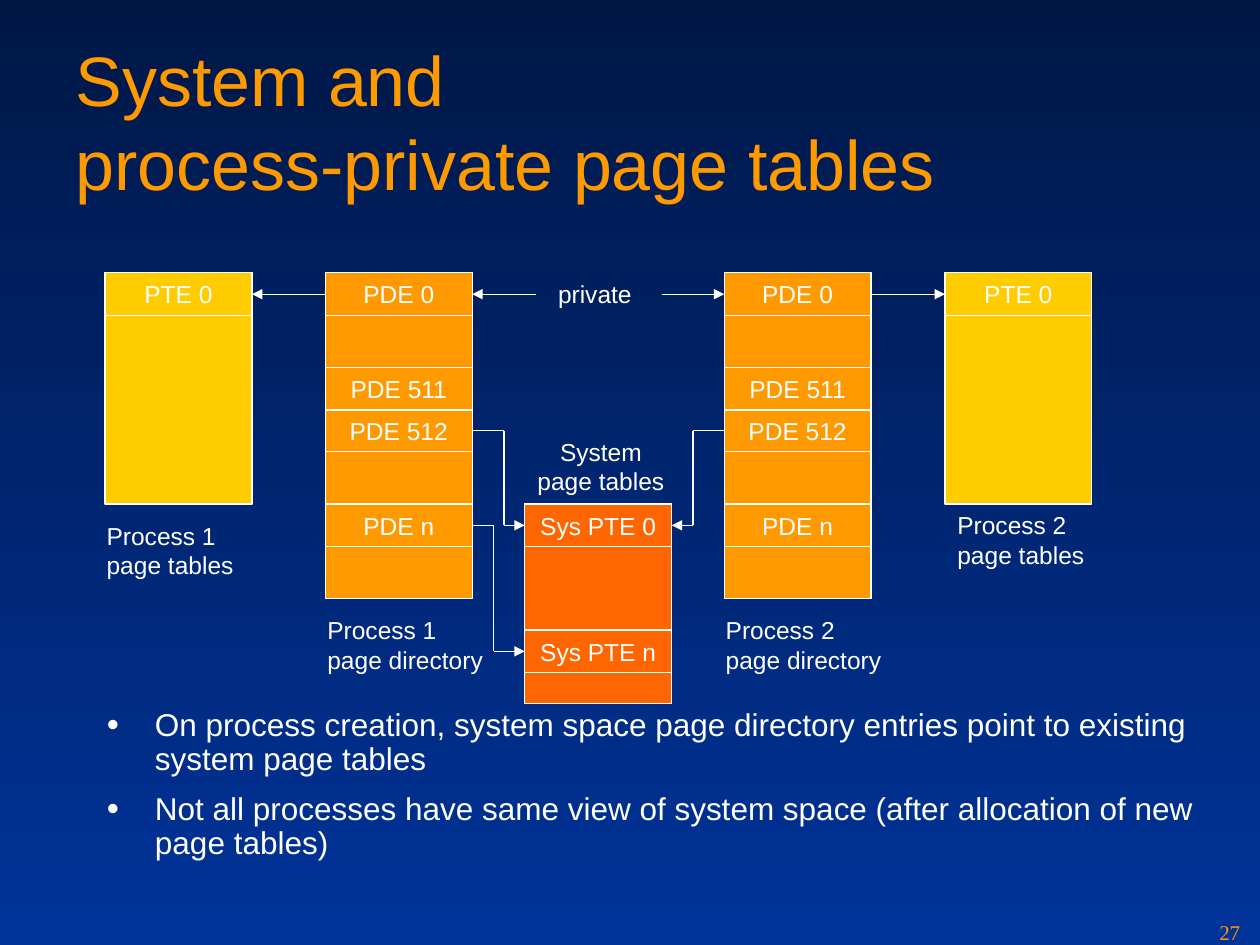
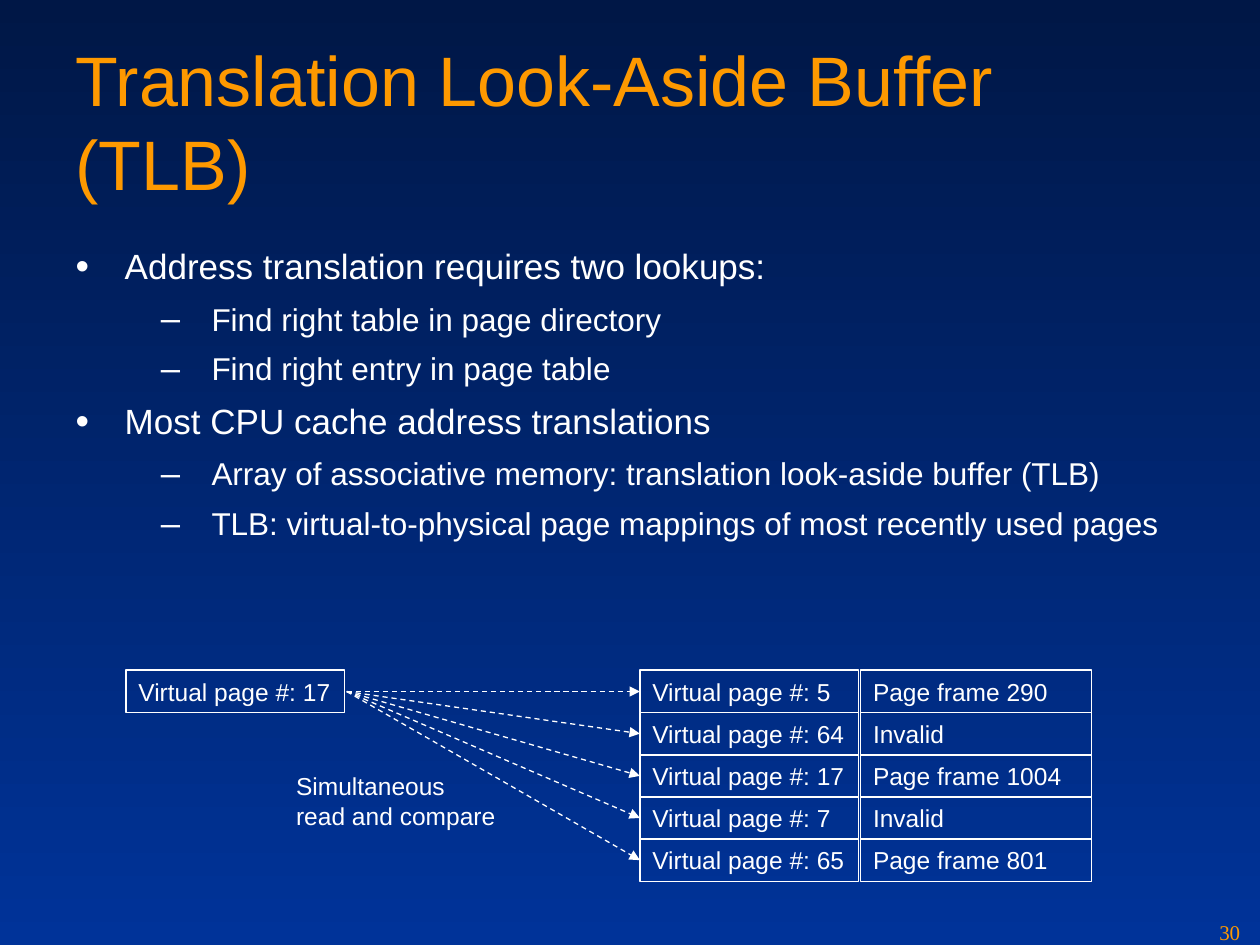
from copy import deepcopy
from dataclasses import dataclass

from lxml.etree import SubElement
from pptx import Presentation
from pptx.dml.color import RGBColor
from pptx.enum.dml import MSO_LINE
from pptx.enum.shapes import MSO_CONNECTOR, MSO_SHAPE
from pptx.enum.text import MSO_ANCHOR, MSO_AUTO_SIZE, PP_ALIGN
from pptx.oxml.ns import qn
from pptx.util import Cm, Pt

# Shared look
WHITE, TITLE_ORANGE = "FFFFFF", "FE9900"
YELLOW, ORANGE, DEEP_ORANGE = "FFCC00", "FF9900", "FF6600"
NIGHT, BLUE = "001746", "003399"
TABLE_WIDTH, ENTRY_HEIGHT = 2.96, 0.86
LINE_WIDTH = Pt(0.75)


@dataclass
class Level:
    """Look of one bullet level."""
    char: str
    size: float
    margin: float
    hanging: float
    gap: float


@dataclass
class Label:
    text: str
    left: float
    top: float
    width: float
    height: float = 1.45
    align: PP_ALIGN = PP_ALIGN.LEFT


@dataclass
class PageTable:
    """A memory table whose named entries sit at offsets from its top."""
    left: float
    top: float
    height: float
    color: str
    entries: dict[str, float]

    @property
    def right(self) -> float:
        return self.left + TABLE_WIDTH

    def middle(self, entry: str) -> float:
        return self.top + self.entries[entry] + ENTRY_HEIGHT / 2


def rgb(color: str) -> RGBColor:
    return RGBColor.from_string(color)


def write(paragraph, text: str, *, size: float = 14, color: str = WHITE,
          font: str = "Arial", align=PP_ALIGN.LEFT) -> None:
    paragraph.text = text
    paragraph.alignment = align
    for run in paragraph.runs:
        run.font.size = Pt(size)
        run.font.name = font
        run.font.color.rgb = rgb(color)
    # Line breaks take the height of the text around them
    for line_break in paragraph._p.findall(qn("a:br")):
        line_break.insert(0, deepcopy(paragraph.runs[0]._r.find(qn("a:rPr"))))


def place(shape, left: float, top: float, width: float, height: float) -> None:
    shape.left, shape.top = Cm(left), Cm(top)
    shape.width, shape.height = Cm(width), Cm(height)
    frame = shape.text_frame
    frame.auto_size = MSO_AUTO_SIZE.NONE
    frame.word_wrap = True
    frame.vertical_anchor = MSO_ANCHOR.TOP


def add_label(slide, label: Label, *, wrap: bool = False, **look) -> None:
    box = slide.shapes.add_textbox(0, 0, 0, 0)
    place(box, label.left, label.top, label.width, label.height)
    box.text_frame.word_wrap = wrap
    write(box.text_frame.paragraphs[0], label.text, align=label.align, **look)


def add_box(slide, left: float, top: float, width: float, height: float, *,
            color: str | None = None, text: str = "", align=PP_ALIGN.LEFT) -> None:
    box = slide.shapes.add_shape(MSO_SHAPE.RECTANGLE, 0, 0, 0, 0)
    place(box, left, top, width, height)
    box.shadow.inherit = False
    if color:
        box.fill.solid()
        box.fill.fore_color.rgb = rgb(color)
    else:
        box.fill.background()
    box.line.color.rgb = rgb(WHITE)
    box.line.width = LINE_WIDTH
    if text:
        frame = box.text_frame
        frame.vertical_anchor = MSO_ANCHOR.MIDDLE
        if align == PP_ALIGN.LEFT:
            frame.margin_right = 0
        write(frame.paragraphs[0], text, align=align)


def add_page_table(slide, table: PageTable) -> None:
    add_box(slide, table.left, table.top, TABLE_WIDTH, table.height, color=table.color)
    for entry, offset in table.entries.items():
        add_box(slide, table.left, table.top + offset, TABLE_WIDTH, ENTRY_HEIGHT,
                text=entry, align=PP_ALIGN.CENTER)


def add_route(slide, *points: tuple[float, float], dashed: bool = False) -> None:
    """Join the points with straight lines and end in an arrowhead."""
    for start, end in zip(points, points[1:]):
        segment = slide.shapes.add_connector(
            MSO_CONNECTOR.STRAIGHT, *(Cm(value) for value in start + end))
        segment.line.color.rgb = rgb(WHITE)
        segment.line.width = LINE_WIDTH
        if dashed:
            segment.line.dash_style = MSO_LINE.DASH
        properties = segment._element.spPr
        if end == points[-1]:
            SubElement(properties.find(qn("a:ln")), qn("a:tailEnd"), type="triangle")
        SubElement(properties, qn("a:effectLst"))


def add_bullets(body, items: list[tuple[Level, str]]) -> None:
    frame = body.text_frame
    for index, (level, text) in enumerate(items):
        paragraph = frame.add_paragraph() if index else frame.paragraphs[0]
        paragraph.level = 1 if level.char == "–" else 0
        properties = paragraph._p.get_or_add_pPr()
        properties.set("marL", str(Cm(level.margin)))
        properties.set("indent", str(-Cm(level.hanging)))
        bullet_color = SubElement(properties, qn("a:buClr"))
        SubElement(bullet_color, qn("a:srgbClr"), val=WHITE)
        SubElement(properties, qn("a:buSzPct"), val="110000")
        SubElement(properties, qn("a:buChar"), char=level.char)
        paragraph.line_spacing = 0.9
        paragraph.space_before = Pt(level.gap if index else 0)
        paragraph.space_after = Pt(level.gap)
        write(paragraph, text, size=level.size)


def set_background(master) -> None:
    fill = master.background.fill
    fill.gradient()
    fill.gradient_angle = 270
    for stop, color in zip(fill.gradient_stops, (NIGHT, BLUE)):
        stop.color.rgb = rgb(color)


def add_slide(prs, title: str, number: int, body_area: tuple[float, ...],
              bullets: list[tuple[Level, str]]):
    slide = prs.slides.add_slide(prs.slide_layouts[1])
    heading, body = slide.shapes.title, slide.placeholders[1]
    place(heading, 1.27, 0.61, 22.86, 3.18)
    write(heading.text_frame.paragraphs[0], title, size=40, color=TITLE_ORANGE)
    place(body, *body_area)
    add_bullets(body, bullets)
    add_label(slide, Label(str(number), 24.33, 18.42, 1.07, 0.63), wrap=True,
              size=12, color=TITLE_ORANGE, font="Times New Roman")
    return slide


def build_page_tables(prs) -> None:
    point = Level("•", 18, 0.97, 0.97, 4.5)
    slide = add_slide(
        prs, "System and\nprocess-private page tables", 27, (1.9, 14.17, 22.43, 3.6),
        [(point, "On process creation, system space page directory entries "
                 "point to existing system page tables"),
         (point, "Not all processes have same view of system space "
                 "(after allocation of new page tables)")])

    # Page tables and page directories
    private_entries = {"PTE 0": 0}
    directory_entries = {"PDE 0": 0, "PDE 511": 1.91, "PDE 512": 2.75, "PDE n": 4.66}
    pages_1, pages_2 = (PageTable(left, 5.5, 4.66, YELLOW, private_entries)
                        for left in (2.12, 19.05))
    directory_1, directory_2 = (PageTable(left, 5.5, 6.56, ORANGE, directory_entries)
                                for left in (6.56, 14.6))
    system = PageTable(10.58, 10.16, 4.02, DEEP_ORANGE, {"Sys PTE 0": 0, "Sys PTE n": 2.54})
    for table in (pages_1, directory_1, system, pages_2, directory_2):
        add_page_table(slide, table)

    # Private mappings
    first = directory_1.middle("PDE 0")
    for start, end in ((directory_1.left, pages_1.right), (directory_2.right, pages_2.left),
                       (10.8, directory_1.right), (13.34, directory_2.left)):
        add_route(slide, (start, first), (end, first))

    # Shared system mappings
    shared, system_first = directory_1.middle("PDE 512"), system.middle("Sys PTE 0")
    for start, turn, end in ((directory_1.right, 10.16, system.left),
                             (directory_2.left, 13.97, system.right)):
        add_route(slide, (start, shared), (turn, shared),
                  (turn, system_first), (end, system_first))
    last, system_last = directory_1.middle("PDE n"), system.middle("Sys PTE n")
    add_route(slide, (directory_1.right, last), (9.95, last),
              (9.95, system_last), (system.left, system_last))

    # Captions
    for caption in (
            Label("Process 1\npage tables", 1.9, 10.37, 3.07),
            Label("System\npage tables", 10.58, 8.68, 3.07, align=PP_ALIGN.CENTER),
            Label("Process 1\npage directory", 6.35, 12.28, 3.63),
            Label("Process 2\npage directory", 14.38, 12.28, 3.63),
            Label("private", 11, 5.5, 1.98, ENTRY_HEIGHT),
            Label("Process 2\npage tables", 19.05, 10.16, 3.07)):
        add_label(slide, caption)


def build_tlb(prs) -> None:
    point = Level("•", 20, 0.99, 0.99, 5)
    detail = Level("–", 18, 2.74, 1.02, 4.5)
    slide = add_slide(
        prs, "Translation Look-Aside Buffer (TLB)", 30, (1.27, 4.9, 22.86, 7.21),
        [(point, "Address translation requires two lookups:"),
         (detail, "Find right table in page directory"),
         (detail, "Find right entry in page table"),
         (point, "Most CPU cache address translations"),
         (detail, "Array of associative memory: translation look-aside buffer (TLB)"),
         (detail, "TLB: virtual-to-physical page mappings of most recently used pages")])

    # Requested page, compared with every buffer entry at once
    buffer_top, row_step, page_left, page_width = 13.51, 0.85, 12.9, 4.41
    add_box(slide, 2.54, buffer_top, page_width, ENTRY_HEIGHT, text="Virtual page #: 17")
    request = (6.99, buffer_top + ENTRY_HEIGHT / 2)
    buffer = ((5, "Page frame 290"), (64, "Invalid"), (17, "Page frame 1004"),
              (7, "Invalid"), (65, "Page frame 801"))
    for row, (page, frame) in enumerate(buffer):
        top = buffer_top + row * row_step
        add_box(slide, page_left, top, page_width, ENTRY_HEIGHT,
                text=f"Virtual page #: {page}")
        add_box(slide, 17.35, top, 4.66, ENTRY_HEIGHT, text=frame)
        add_route(slide, request, (page_left, top + ENTRY_HEIGHT / 2), dashed=True)
    add_label(slide, Label("Simultaneous\nread and compare", 5.72, 15.42, 4.52))


def main() -> None:
    prs = Presentation()
    prs.slide_width, prs.slide_height = Cm(25.4), Cm(19.05)
    set_background(prs.slide_master)
    build_page_tables(prs)
    build_tlb(prs)
    prs.save("out.pptx")


if __name__ == "__main__":
    main()
